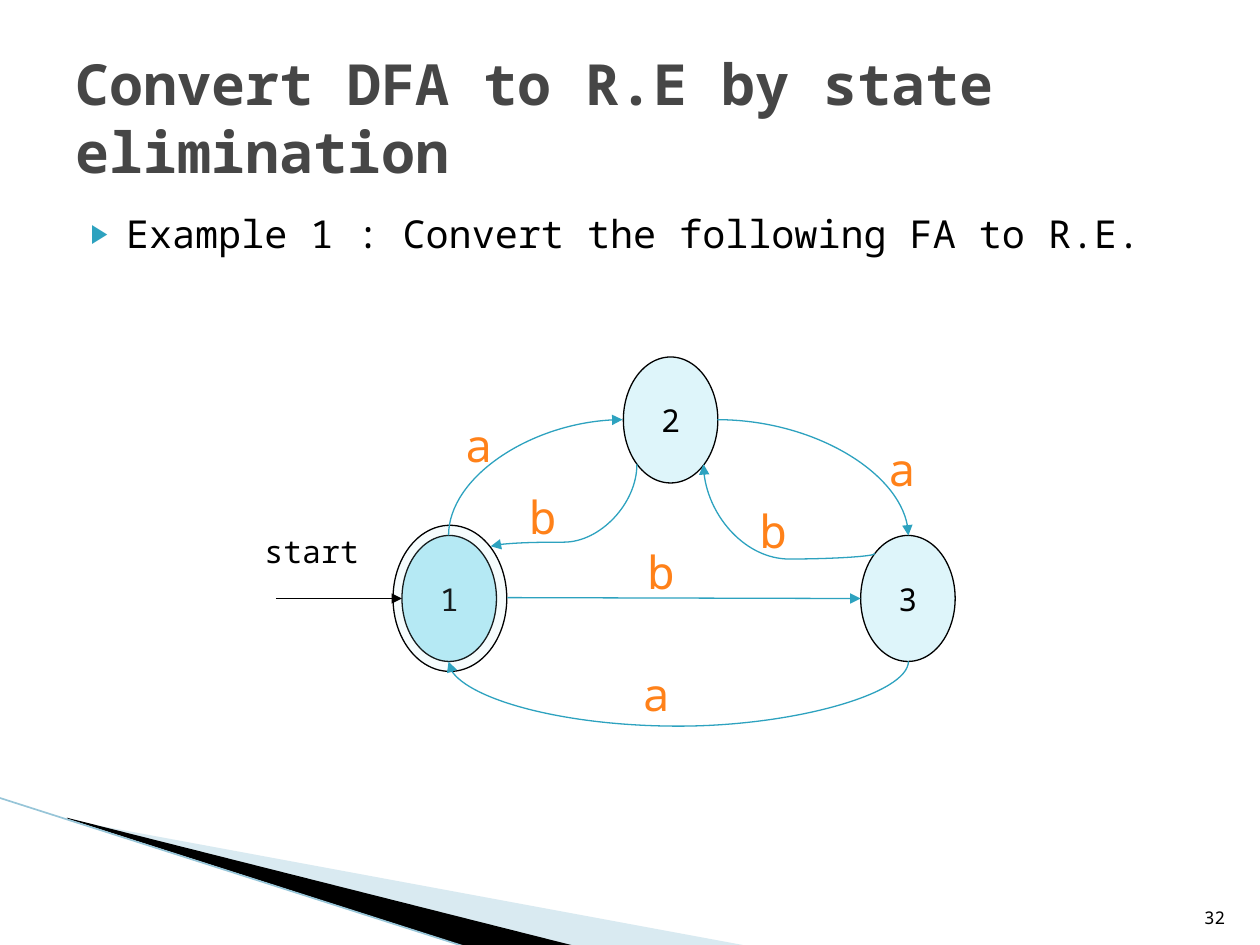
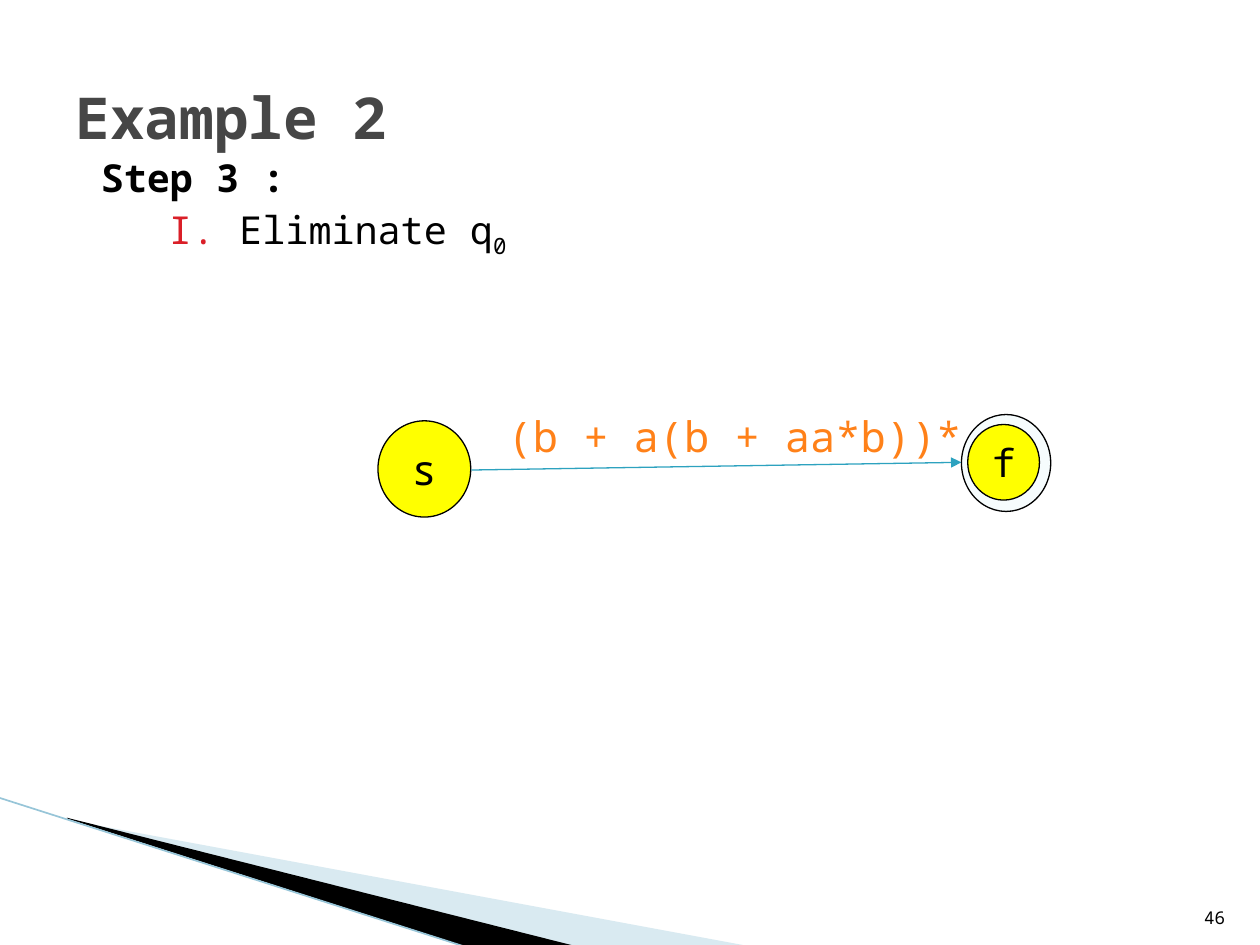
from lxml.etree import SubElement
from pptx import Presentation
from pptx.dml.color import RGBColor
from pptx.enum.shapes import MSO_CONNECTOR, MSO_SHAPE
from pptx.enum.text import MSO_ANCHOR, MSO_AUTO_SIZE, PP_ALIGN
from pptx.oxml.ns import qn
from pptx.util import Pt

HUES = {
    "ink": "000000", "title": "464646", "teal": "2DA2BF", "red": "DA1F28",
    "label": "FF8119", "start": "B5E9F4", "state": "DEF5FA",
    "yellow": "FFFF00", "band": "A0CBDC", "edge": "97C5D8",
}
FONT = "Noto Sans Mono"


def hue(name):
    return RGBColor.from_string(HUES[name])


def write(par, text, size=18, color="ink", bold=False, align=None, base=0):
    run = par.add_run()
    run.text = text
    font = run.font
    font.name, font.size, font.bold = FONT, Pt(size), bold
    font.color.rgb = hue(color)
    if align is not None:
        par.alignment = align
    if base:
        run._r.get_or_add_rPr().set("baseline", str(base * 1000))
    return par


def child(node, tag, **attrs):
    return SubElement(node, qn(tag), attrs)


class Deck:
    def __init__(self):
        self.prs = Presentation()
        self.prs.slide_width, self.prs.slide_height = Pt(720), Pt(540)

    def begin(self, title, number, size):
        self.slide = self.prs.slides.add_slide(self.prs.slide_layouts[1])
        self.shapes = self.slide.shapes
        self.wedge([(39.6, 468.7), (428.4, 540.7), (328.3, 540.7), (39.6, 468)], "band", 40)
        self.wedge([(38.2, 467.3), (329, 540.7), (267.8, 541.4), (38.9, 468)], "ink")
        self.line((-0.7, 455.8), (267.1, 541.4), "edge", 0.95, head=False)
        self.label(number, 681, 505, 28.8, 28.8, size=10, color="ink", anchor=MSO_ANCHOR.BOTTOM)
        frame = self.place(self.shapes.title, 36, 21.6, 648, 90, MSO_ANCHOR.MIDDLE)
        write(frame.paragraphs[0], title, size=size, color="title", bold=True, align=PP_ALIGN.LEFT)

    def place(self, shape, left, top, width, height, anchor=MSO_ANCHOR.TOP):
        shape.left, shape.top = Pt(left), Pt(top)
        shape.width, shape.height = Pt(width), Pt(height)
        frame = shape.text_frame
        frame.auto_size = MSO_AUTO_SIZE.NONE
        frame.vertical_anchor = anchor
        return frame

    def body(self, left, top, width, height):
        return self.place(self.slide.placeholders[1], left, top, width, height)

    def item(self, par, margin, indent, before, mark=None, color="teal", scale=100):
        par.space_before = Pt(before)
        props = par._p.get_or_add_pPr()
        props.set("marL", str(Pt(margin)))
        props.set("indent", str(Pt(indent)))
        if mark is None:
            child(props, "a:buNone")
            return par
        child(child(props, "a:buClr"), "a:srgbClr", val=HUES[color])
        child(props, "a:buSzPct", val=str(scale * 1000))
        if mark == "roman":
            child(props, "a:buFont", typeface=FONT)
            child(props, "a:buAutoNum", type="romanUcPeriod")
        else:
            child(props, "a:buChar", char=mark)
        return par

    def paint(self, shape, color, alpha=100):
        shape.shadow.inherit = False
        shape.fill.solid()
        shape.fill.fore_color.rgb = hue(color)
        if alpha < 100:
            tint = shape._element.spPr.find(".//" + qn("a:srgbClr"))
            child(tint, "a:alpha", val=str(alpha * 1000))

    def wedge(self, points, color, alpha=100):
        spots = [(Pt(x), Pt(y)) for x, y in points]
        pen = self.shapes.build_freeform(*spots[0], scale=1.0)
        pen.add_line_segments(spots[1:], close=True)
        shape = pen.convert_to_shape()
        self.paint(shape, color, alpha)
        shape.line.fill.background()

    def node(self, left, top, width, height, color, text="", size=18, alpha=100):
        shape = self.shapes.add_shape(MSO_SHAPE.OVAL, Pt(left), Pt(top), Pt(width), Pt(height))
        self.paint(shape, color, alpha)
        shape.line.color.rgb = hue("ink")
        shape.line.width = Pt(0.75)
        if text:
            frame = shape.text_frame
            frame.word_wrap = False
            frame.vertical_anchor = MSO_ANCHOR.MIDDLE
            write(frame.paragraphs[0], text, size=size, align=PP_ALIGN.CENTER)

    def label(self, text, left, top, width=29, height=39, size=26, color="label",
              anchor=MSO_ANCHOR.TOP, wrap=False):
        box = self.shapes.add_textbox(Pt(left), Pt(top), Pt(width), Pt(height))
        frame = box.text_frame
        frame.word_wrap = wrap
        frame.vertical_anchor = anchor
        write(frame.paragraphs[0], text, size=size, color=color)

    def line(self, start, end, color="teal", width=0.75, head=True, kind=MSO_CONNECTOR.STRAIGHT):
        link = self.shapes.add_connector(kind, *[Pt(n) for n in (*start, *end)])
        link.line.color.rgb = hue(color)
        link.line.width = Pt(width)
        if head:
            child(link.line._get_or_add_ln(), "a:tailEnd", type="triangle")
        child(link._element.spPr, "a:effectLst")
        return link

    def curve(self, left, top, width, height, turn=0, flip="", bend=None):
        xs, ys = [left, left + width], [top, top + height]
        if "h" in flip:
            xs.reverse()
        if "v" in flip:
            ys.reverse()
        link = self.line((xs[0], ys[0]), (xs[1], ys[1]), kind=MSO_CONNECTOR.CURVE)
        link.rotation = turn if hasattr(link, "rotation") else 0
        props = link._element.spPr
        props.find(qn("a:xfrm")).set("rot", str(turn * 60000))
        geom = props.find(qn("a:prstGeom"))
        if bend is None:
            geom.set("prst", "curvedConnector2")
        else:
            guides = geom.find(qn("a:avLst"))
            child(guides, "a:gd", name="adj1", fmla=f"val {round(bend * 100000)}")


deck = Deck()

deck.begin("Convert DFA to R.E by state elimination", "32", 32.4)
frame = deck.body(36, 116.6, 648, 52)
par = deck.item(frame.paragraphs[0], 28.8, -20.2, 4, "\u25b6", scale=68)
write(par, "Example 1 : Convert the following FA to R.E.", size=22)

for text, left, top, color in [("1", 229.7, 306, "start"), ("2", 356.2, 204, "state"),
                               ("3", 491.8, 306, "state")]:
    deck.node(left, top, 54, 72, color, text)
deck.node(224.6, 300.2, 65, 83.5, "start", alpha=12)

deck.line((157.7, 342), (229.7, 342), "ink")
deck.line((290, 341.5), (491.8, 342))
deck.curve(272.9, 223.2, 66.2, 99.4, 90, "hv")
deck.curve(387.6, 246.6, 0.22, 262.8, 90, bend=163.6)
deck.curve(409.9, 239.8, 109.2, 66.2)
deck.curve(425.4, 241.9, 51.1, 97.9, 270, "v", -0.06)
deck.curve(298.8, 247, 46.8, 83.5, 90, bend=0.95)

deck.label("start", 144, 300.2, 82, 58.3, size=18, color="ink")
for text, left, top in [("a", 258.5, 234.7), ("a", 360, 377.3), ("a", 500.4, 248.4),
                        ("b", 427, 283.7), ("b", 295.2, 275.8), ("b", 362.9, 307.4)]:
    deck.label(text, left, top)

deck.begin("Example 2", "46", 33)
frame = deck.body(41.8, 84.2, 648, 158.4)
par = deck.item(frame.paragraphs[0], 8.6, 0, 4)
write(par, "Step 3 :", size=22, bold=True, align=PP_ALIGN.JUSTIFY)
par = frame.add_paragraph()
par.level = 1
deck.item(par, 87.8, -40.3, 3.5, "roman", "red")
write(par, "Eliminate q", size=22, align=PP_ALIGN.JUSTIFY)
write(par, "0", size=22, base=-25)

deck.label("(b + a(b + aa*b))*", 283, 231, 295, 36, size=24, wrap=True)
deck.node(216, 240.5, 53, 55, "yellow", "s", 24)
deck.line((269.3, 268.6), (549.4, 264.2))
deck.node(549.4, 236.9, 51, 55.4, "start", alpha=12)
deck.node(553, 242.6, 41, 43.2, "yellow", "f", 22)

deck.prs.save("out.pptx")
